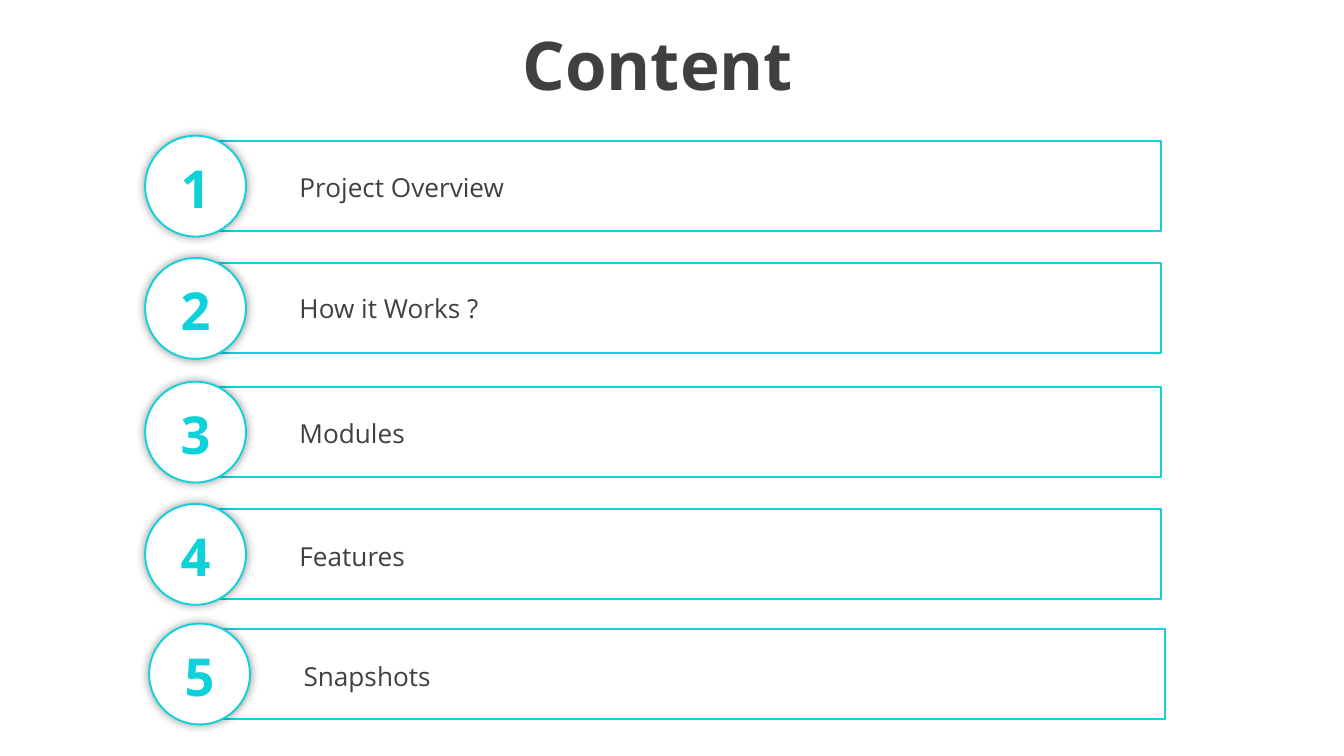
from pptx import Presentation
from pptx.dml.color import RGBColor
from pptx.enum.shapes import MSO_SHAPE
from pptx.enum.text import MSO_ANCHOR, MSO_AUTO_SIZE, PP_ALIGN
from pptx.oxml import parse_xml
from pptx.oxml.ns import nsdecls, qn
from pptx.util import Inches, Pt

FONT = "Open Sans"
CYAN = RGBColor(0x0D, 0xD2, 0xD9)
GRAY = RGBColor(0x40, 0x40, 0x40)
WHITE = RGBColor(0xFF, 0xFF, 0xFF)

# Label, left and top of the row, offset of the label from the row's top
ROWS = [
    ("Project Overview", 1.08, 1.01, 0.21),
    ("How it Works ?", 1.08, 1.92, 0.20),
    ("Modules", 1.08, 2.84, 0.21),
    ("Features", 1.08, 3.75, 0.22),
    ("Snapshots", 1.11, 4.64, 0.22),
]


def add_text(slide, text, x, y, w, h, size, color=GRAY, bold=False,
             align=PP_ALIGN.LEFT, grow=True):
    sp = slide.shapes.add_textbox(Inches(x), Inches(y), Inches(w), Inches(h))
    tf = sp.text_frame
    tf.word_wrap = True
    tf.vertical_anchor = MSO_ANCHOR.MIDDLE
    tf.auto_size = MSO_AUTO_SIZE.SHAPE_TO_FIT_TEXT if grow else MSO_AUTO_SIZE.NONE
    p = tf.paragraphs[0]
    p.alignment = align
    r = p.add_run()
    r.text = text
    r.font.name = FONT
    r.font.size = Pt(size)
    r.font.bold = bold
    r.font.color.rgb = color
    return sp


def add_outline(slide, kind, x, y, w, h, fill=None):
    sp = slide.shapes.add_shape(kind, Inches(x), Inches(y), Inches(w), Inches(h))
    sp.shadow.inherit = False
    if fill is None:
        sp.fill.background()
    else:
        sp.fill.solid()
        sp.fill.fore_color.rgb = fill
    sp.line.color.rgb = CYAN
    sp.line.width = Pt(1)
    return sp


def add_glow_shadow(sp, blur=5, opacity=40):
    effects = sp.element.spPr.find(qn("a:effectLst"))
    effects.append(parse_xml(
        f'<a:outerShdw {nsdecls("a")} blurRad="{Pt(blur)}" dist="0" dir="0" '
        f'algn="ctr" rotWithShape="0"><a:srgbClr val="000000">'
        f'<a:alpha val="{opacity * 1000}"/></a:srgbClr></a:outerShdw>'))


def add_row(slide, number, label, x, y, label_dy):
    # Frame and label
    add_outline(slide, MSO_SHAPE.RECTANGLE, x + 0.38, y + 0.04, 7.18, 0.67)
    add_text(slide, label, x + 1.05, y + label_dy, 6.28, 0.34, size=14)
    # Number badge
    badge = add_outline(slide, MSO_SHAPE.OVAL, x, y, 0.75, 0.75, fill=WHITE)
    add_glow_shadow(badge)
    add_text(slide, str(number), x + 0.14, y + 0.1, 0.47, 0.57, size=28,
             color=CYAN, bold=True, align=PP_ALIGN.CENTER)


def build_content_slide(prs):
    slide = prs.slides.add_slide(prs.slide_layouts[6])
    # Title
    add_text(slide, "Content", 0.31, 0.16, 9.17, 0.63, size=36, bold=True,
             align=PP_ALIGN.CENTER, grow=False)
    # Numbered rows
    for number, row in enumerate(ROWS, start=1):
        add_row(slide, number, *row)


def main():
    prs = Presentation()
    # Widescreen, 16:9
    prs.slide_width = Inches(10)
    prs.slide_height = Inches(10 * 9 / 16)
    build_content_slide(prs)
    prs.save("out.pptx")


if __name__ == "__main__":
    main()
